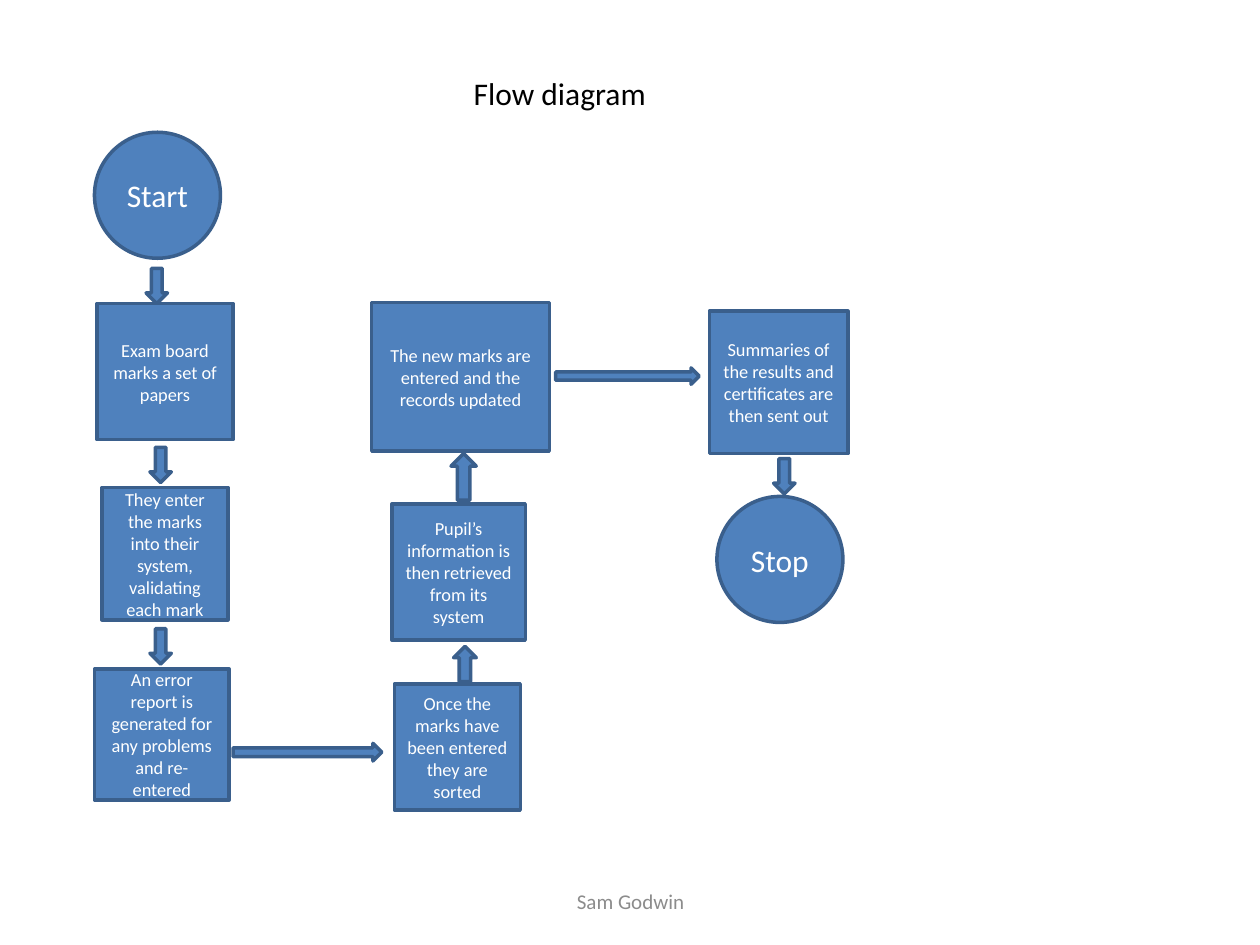
from dataclasses import dataclass

from pptx import Presentation
from pptx import util as u
from pptx.dml.color import RGBColor
from pptx.enum import shapes, text

KIND = shapes.MSO_SHAPE


@dataclass(frozen=True)
class Theme:
    font: str = "Calibri"
    fill: RGBColor = RGBColor(0x4F, 0x81, 0xBD)
    outline: RGBColor = RGBColor(0x3A, 0x5F, 0x8C)
    on_fill: RGBColor = RGBColor(0xFF, 0xFF, 0xFF)
    heading: RGBColor = RGBColor(0, 0, 0)
    muted: RGBColor = RGBColor(0x8C, 0x8C, 0x8C)
    large: float = 18
    footer: float = 12
    step: float = 10.5
    outline_width: float = 2


@dataclass(frozen=True)
class Box:
    left: float
    top: float
    width: float
    height: float

    def lengths(self) -> list:
        return [u.Inches(v) for v in (self.left, self.top, self.width, self.height)]


@dataclass(frozen=True)
class Node:
    label: str
    box: Box
    kind: KIND = KIND.RECTANGLE
    size: float = Theme.step


@dataclass(frozen=True)
class Arrow:
    kind: KIND
    box: Box


THEME = Theme()

TERMINAL = {"kind": KIND.OVAL, "size": THEME.large}
NODES = [
    # First column: marking
    Node("Start", Box(0.75, 1.05, 1, 1), **TERMINAL),
    Node("Exam board marks a set of papers", Box(0.77, 2.41, 1.08, 1.08)),
    Node("They enter the marks into their system, validating each mark",
         Box(0.81, 3.87, 1, 1.05)),
    Node("An error report is generated for any problems and re-entered",
         Box(0.75, 5.31, 1.07, 1.04)),
    # Second column: records, read upwards
    Node("Once the marks have been entered they are sorted", Box(3.13, 5.43, 1, 1)),
    Node("Pupil’s information is then retrieved from its system",
         Box(3.11, 4, 1.06, 1.08)),
    Node("The new marks are entered and the records updated",
         Box(2.95, 2.4, 1.41, 1.18)),
    # Third column: results
    Node("Summaries of the results and certificates are then sent out",
         Box(5.63, 2.47, 1.1, 1.13)),
    Node("Stop", Box(5.69, 3.94, 1, 1), **TERMINAL),
]

DOWN_STARTS = [(1.16, 2.13), (1.19, 3.55), (1.19, 4.99), (6.14, 3.64)]
ARROWS = [Arrow(KIND.DOWN_ARROW, Box(x, y, 0.17, 0.28)) for x, y in DOWN_STARTS] + [
    Arrow(KIND.RIGHT_ARROW, Box(1.85, 5.9, 1.18, 0.14)),
    Arrow(KIND.UP_ARROW, Box(3.6, 5.13, 0.18, 0.28)),
    Arrow(KIND.UP_ARROW, Box(3.58, 3.6, 0.2, 0.37)),
    Arrow(KIND.RIGHT_ARROW, Box(4.41, 2.92, 1.14, 0.13)),
]


def apply(target, values: dict) -> None:
    for name, value in values.items():
        setattr(target, name, value)


def write(part, wording: str, size: float, color: RGBColor,
          align=text.PP_ALIGN.CENTER, anchor=text.MSO_ANCHOR.MIDDLE,
          wrap: bool = True) -> None:
    frame = part.text_frame
    apply(frame, {"text": wording, "word_wrap": wrap, "vertical_anchor": anchor,
                  "auto_size": text.MSO_AUTO_SIZE.NONE})
    paragraph = frame.paragraphs[0]
    paragraph.alignment = align
    font = paragraph.runs[0].font
    apply(font, {"name": THEME.font, "size": u.Pt(size)})
    font.color.rgb = color


def draw_figure(slide, kind: KIND, box: Box):
    figure = slide.shapes.add_shape(kind, *box.lengths())
    figure.shadow.inherit = False
    figure.fill.solid()
    figure.fill.fore_color.rgb = THEME.fill
    figure.line.color.rgb = THEME.outline
    figure.line.width = u.Pt(THEME.outline_width)
    return figure


def draw_node(slide, node: Node) -> None:
    figure = draw_figure(slide, node.kind, node.box)
    write(figure, node.label, node.size, THEME.on_fill)


def draw_heading(slide, wording: str, box: Box) -> None:
    heading = slide.shapes.title
    apply(heading, dict(zip(("left", "top", "width", "height"), box.lengths())))
    write(heading, wording, THEME.large, THEME.heading,
          align=text.PP_ALIGN.LEFT, anchor=text.MSO_ANCHOR.TOP, wrap=False)


def draw_footer(slide, wording: str, box: Box) -> None:
    footer = slide.shapes.add_textbox(*box.lengths())
    write(footer, wording, THEME.footer, THEME.muted)


def main() -> None:
    deck = Presentation()
    apply(deck, {"slide_width": u.Inches(10), "slide_height": u.Inches(7.5)})
    slide = deck.slides.add_slide(deck.slide_layouts.get_by_name("Title Only"))

    # Steps first, so the arrows lie over their edges
    for node in NODES:
        draw_node(slide, node)
    for arrow in ARROWS:
        draw_figure(slide, arrow.kind, arrow.box)

    # Heading and author
    draw_heading(slide, "Flow diagram", Box(3.66, 0.54, 1.58, 0.4))
    draw_footer(slide, "Sam Godwin", Box(3.42, 6.95, 3.17, 0.4))

    deck.save("out.pptx")


if __name__ == "__main__":
    main()
